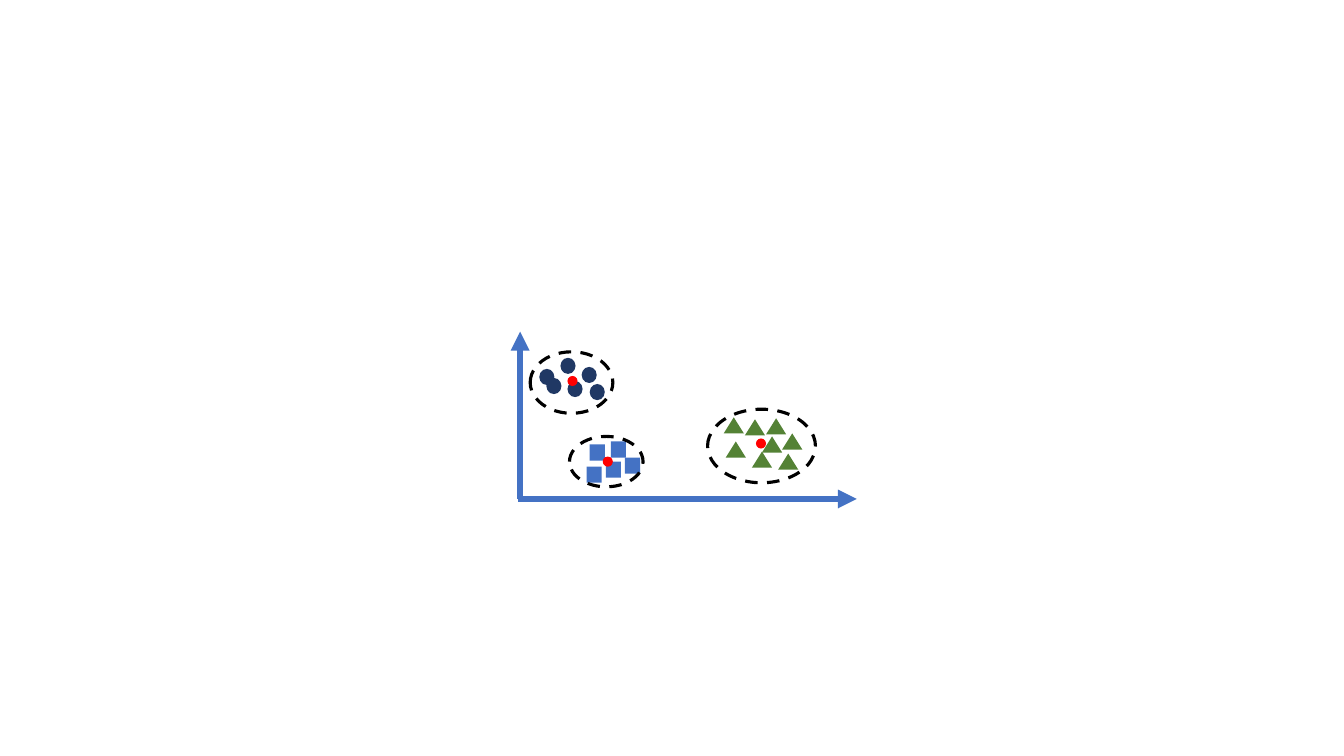
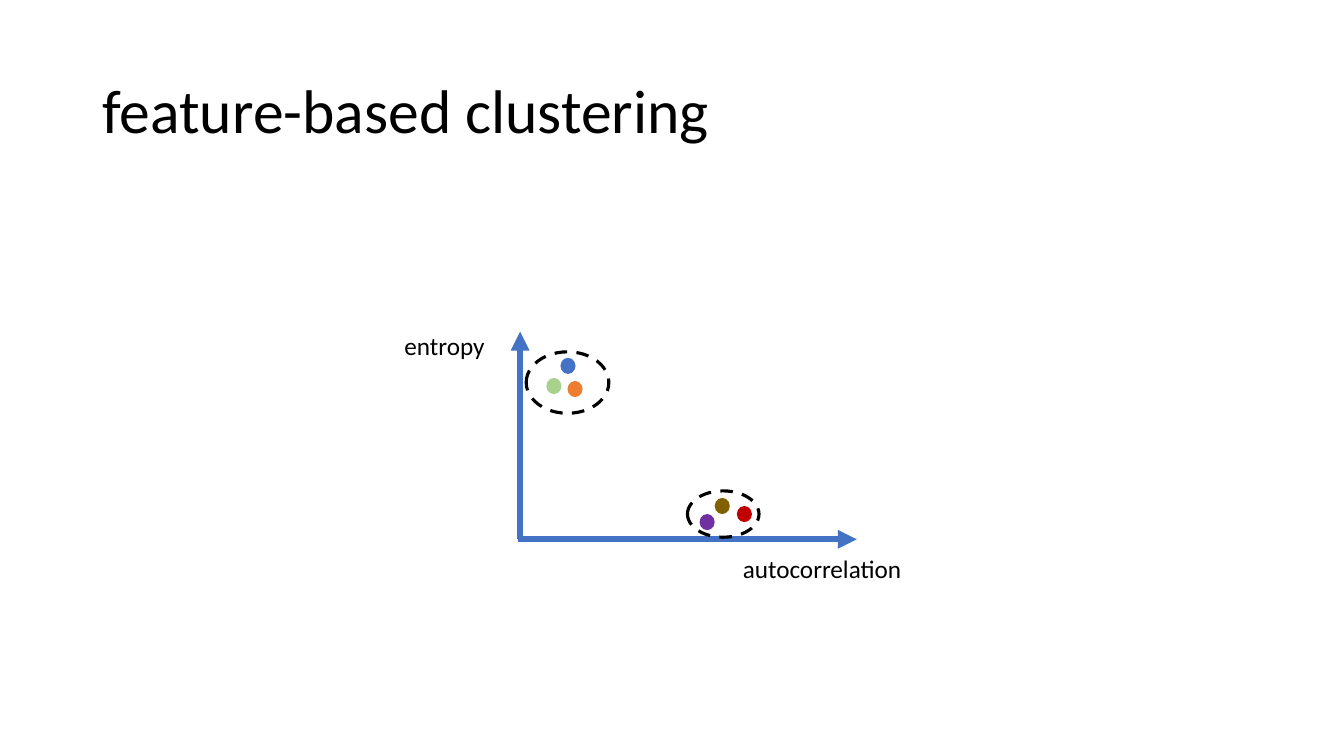
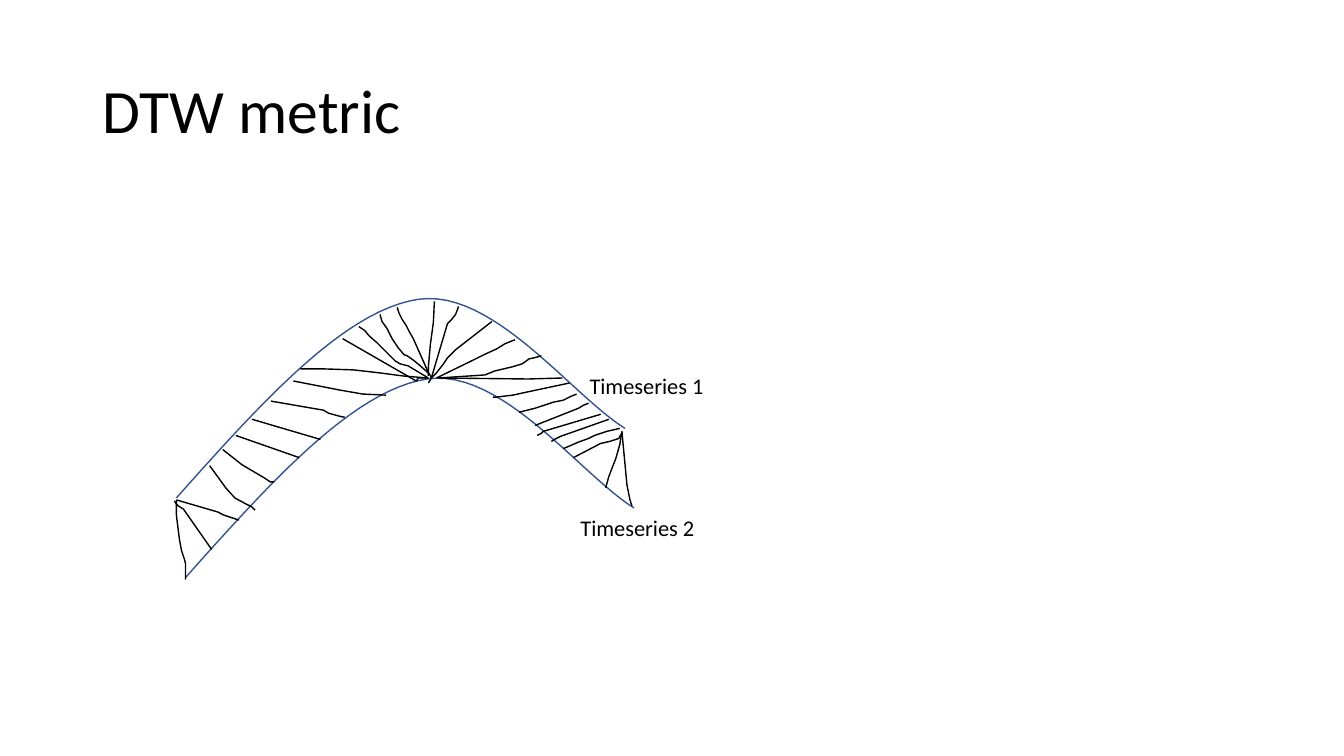
from lxml import etree
from pptx import Presentation
from pptx import util as u
from pptx.dml.color import RGBColor
from pptx.enum import dml, shapes, text
from pptx.oxml.ns import qn

# Grid: the slide is 75 rows high, and columns are as wide as rows
WIDTH, HEIGHT = u.Emu(12192000), u.Emu(6858000)
UNIT = HEIGHT / 75

# Shared style
FONT = "Calibri"
BLACK, BLUE, NAVY, GREEN, RED = "000000", "4472C4", "203864", "548235", "FF0000"
SERIES_BLUE = "325491"
OVAL = shapes.MSO_SHAPE.OVAL
SQUARE = shapes.MSO_SHAPE.RECTANGLE
TRIANGLE = shapes.MSO_SHAPE.ISOSCELES_TRIANGLE
MARKER, WIDE_MARKER, CENTROID = (1.5, 1.6), (2, 1.6), (1, 1)

# Clusters: marker shape, size, colour, marker corners, outline box, centroid
CLUSTERS = [
    (OVAL, MARKER, NAVY,
     [(54.2, 37.5), (55.6, 35.5), (56.3, 37.8), (58.5, 38.1), (57.7, 36.4),
      (53.5, 36.6)],
     (52.6, 34.9, 8.2, 6.1), (56.3, 37.3)),
    (SQUARE, MARKER, BLUE,
     [(58.5, 44.1), (60.1, 45.8), (60.6, 43.8), (58.2, 46.3), (62, 45.4)],
     (56.5, 43.3, 7.3, 5), (59.8, 45.3)),
    (TRIANGLE, WIDE_MARKER, GREEN,
     [(73.9, 41.6), (75.6, 43.3), (76, 41.5), (72, 43.8), (77.6, 43),
      (74.6, 44.8), (77.2, 45), (71.8, 41.4)],
     (70.2, 40.6, 10.7, 7.3), (75, 43.5)),
]

# Feature points: left, top, colour
FEATURES = [
    (54.2, 37.5, "A9D18E"), (55.6, 35.5, BLUE), (56.3, 37.8, "ED7D31"),
    (70.9, 49.4, "806000"), (69.4, 51, "7030A0"), (73.1, 50.2, "C00000"),
]
FEATURE_OUTLINES = [(52.2, 34.9, 8.2, 6.1), (68.2, 48.7, 7.1, 4.6)]

# Time series: two cubic arcs; the second is the first one shifted
SERIES = [
    [(17.5, 49.4), (25.8, 40.1), (34.1, 30.8), (41.5, 29.7)],
    [(41.5, 29.7), (48.9, 28.6), (56.7, 39.2), (62, 42.5)],
]
SERIES_SHIFTS = [(0, 0), (0.9, 7.9)]

# Hand-drawn matches between the series
START_MATCHES = [
    [(17.5, 49.6), (17.5, 51.1), (17.6, 51.9), (17.8, 53.5), (18, 54.6),
     (18.3, 55.5), (18.4, 55.9), (18.4, 57.5)],
    [(21, 54.5), (18.2, 50.5), (17.7, 50.2), (17.5, 50), (17.3, 49.7)],
    [(17.5, 49.6), (21.6, 50.8), (22.2, 51.1), (23.7, 51.6)],
    [(20.8, 46.2), (22.4, 48.4), (23.3, 49.4), (24.4, 50), (25, 50.3),
     (25.3, 50.6)],
    [(22.1, 44.6), (24, 46.1), (26.2, 47.4), (26.8, 47.8), (27.2, 47.8)],
    [(23.4, 43.2), (29.7, 45.4)],
    [(25, 41.6), (31.8, 43.6)],
    [(26.9, 39.8), (32.1, 40.7), (32.6, 41), (33.7, 41.3), (34.2, 41.4)],
    [(29.1, 37.8), (33.7, 38.7), (36, 39.1), (38.3, 39.2)],
]
PEAK_MATCHES = [
    [(42.4, 37.5), (40, 37.3), (37.7, 37), (35.1, 36.7), (32.2, 36.6),
     (29.8, 36.6)],
    [(34, 33.6), (41.3, 37.8), (41.5, 37.5), (42.4, 37.5)],
    [(42.5, 37.5), (40.5, 36.3), (39.7, 36.1), (39.2, 35.8), (38.3, 34.9),
     (37.4, 34), (36.6, 33.3), (36.2, 32.8), (35.6, 32.4)],
    [(37.7, 31.2), (37.9, 31.9), (38.4, 32.6), (38.9, 33.6), (39.5, 34.5),
     (40.1, 35.2), (40.4, 35.3), (41.1, 35.8), (41.7, 36.3), (42.6, 37.1),
     (42.8, 37.5)],
    [(42.6, 37.2), (41, 33.6), (40.6, 32.9), (40.3, 32.3), (39.9, 31.7),
     (39.6, 31.1), (39.4, 30.5)],
    [(43.1, 29.9), (43, 32), (42.7, 34.2), (42.5, 36.4), (42.5, 37.3)],
    [(42.8, 37.5), (44.4, 32.1), (44.8, 31.7), (45.2, 31.2), (45.5, 30.4)],
    [(48.8, 31.9), (45.2, 34.7), (44.4, 35.5), (44, 36.1), (43.3, 37),
     (42.8, 37.5), (42.5, 38)],
    [(43.3, 37.5), (47.2, 35.6), (48, 35.2), (49.3, 34.6), (50.1, 34.1),
     (51.1, 33.7)],
    [(43.5, 37.5), (48.1, 37.2), (49.1, 36.8), (50.8, 36.4), (51.8, 36.1),
     (52.5, 35.6), (53, 35.5), (53.7, 35.3)],
    [(43.6, 37.5), (52.4, 37.6), (55.8, 37.5)],
]
END_MATCHES = [
    [(56.5, 38), (51.8, 39), (50.9, 39.2), (49.2, 39.4), (48.9, 39.4)],
    [(51.5, 40.9), (53.1, 40.5), (54.9, 39.9), (55.9, 39.7), (56.7, 39.3),
     (57.2, 39.1)],
    [(53.1, 42.2), (57.4, 40.5), (57.9, 40.2), (58.4, 40)],
    [(59.6, 41.1), (53.9, 42.8), (53.7, 43), (53.3, 43.2)],
    [(60.4, 41.6), (55.6, 43.3), (55, 43.6), (54.7, 43.8)],
    [(61.5, 42.5), (60.2, 42.8), (59, 43.2), (58.4, 43.5), (57.3, 43.9),
     (56.4, 44.3), (55.9, 44.5)],
    [(56.9, 45.4), (59.6, 44), (60.5, 43.8), (61.4, 43.5), (61.6, 43.1)],
    [(61.7, 42.8), (61.5, 44.1), (61.1, 45.5), (60.4, 47.3), (60.1, 48.4)],
    [(61.7, 42.8), (62.2, 48.1), (62.5, 49.6), (62.7, 50.2)],
]


def grid(n):
    return u.Emu(round(n * UNIT))


def rgb(color):
    return RGBColor.from_string(color)


def style_line(line, color, width):
    line.color.rgb = rgb(color)
    line.width = u.Pt(width)


def add_text(s, box, words, size, align=text.PP_ALIGN.LEFT):
    tf = s.shapes.add_textbox(*map(grid, box)).text_frame
    tf.word_wrap = True
    p = tf.paragraphs[0]
    p.text = words
    p.alignment = align
    p.font.name, p.font.size, p.font.color.rgb = FONT, u.Pt(size), rgb(BLACK)
    return tf


def add_title(s, words):
    tf = add_text(s, (9.2, 4, 115, 14.5), words, 44)
    tf.vertical_anchor = text.MSO_ANCHOR.MIDDLE
    tf.paragraphs[0].line_spacing = 0.9


def add_label(s, box, words, size, align=text.PP_ALIGN.LEFT):
    tf = add_text(s, box, words, size, align)
    tf.auto_size = text.MSO_AUTO_SIZE.SHAPE_TO_FIT_TEXT


def add_marker(s, kind, corner, size, color):
    sp = s.shapes.add_shape(kind, *map(grid, (*corner, *size)))
    sp.shadow.inherit = False
    sp.fill.solid()
    sp.fill.fore_color.rgb = rgb(color)
    sp.line.fill.background()


def add_outline(s, box):
    sp = s.shapes.add_shape(OVAL, *map(grid, box))
    sp.shadow.inherit = False
    sp.fill.background()
    style_line(sp.line, BLACK, 2.25)
    sp.line.dash_style = dml.MSO_LINE.DASH


def add_arrow(s, start, end):
    c = s.shapes.add_connector(shapes.MSO_CONNECTOR.STRAIGHT,
                               *map(grid, (*start, *end)))
    style_line(c.line, BLUE, 4.5)
    spPr = c._element.spPr
    etree.SubElement(spPr.find(qn("a:ln")), qn("a:tailEnd"), type="triangle")
    etree.SubElement(spPr, qn("a:effectLst"))


def add_axes(s, base):
    add_arrow(s, (51.4, base), (85, base))
    add_arrow(s, (51.6, base), (51.6, 32.9))


def add_stroke(s, points, color=BLACK):
    start, *rest = [(grid(x), grid(y)) for x, y in points]
    pen = s.shapes.build_freeform(*start)
    pen.add_line_segments(rest, close=False)
    sp = pen.convert_to_shape()
    sp.shadow.inherit = False
    sp.fill.background()
    style_line(sp.line, color, 1)


def cubic(controls, steps=24):
    """Points along a cubic Bézier curve."""
    for i in range(steps + 1):
        t = i / steps
        weights = ((1 - t) ** 3, 3 * t * (1 - t) ** 2,
                   3 * t ** 2 * (1 - t), t ** 3)
        yield tuple(sum(w * v for w, v in zip(weights, axis))
                    for axis in zip(*controls))


def clusters_slide(s):
    add_axes(s, 49.5)
    for kind, size, color, corners, outline, _ in CLUSTERS:
        for corner in corners:
            add_marker(s, kind, corner, size, color)
        add_outline(s, outline)
    for *_, centroid in CLUSTERS:
        add_marker(s, OVAL, centroid, CENTROID, RED)


def features_slide(s):
    add_title(s, "feature-based clustering")
    add_axes(s, 53.5)
    add_label(s, (38.5, 32.3, 11.2, 4), "entropy", 18, text.PP_ALIGN.CENTER)
    add_label(s, (72.3, 54.4, 18.5, 4), "autocorrelation", 18,
              text.PP_ALIGN.CENTER)
    for x, y, color in FEATURES:
        add_marker(s, OVAL, (x, y), MARKER, color)
    for box in FEATURE_OUTLINES:
        add_outline(s, box)


def dtw_slide(s):
    add_title(s, "DTW metric")
    curve = [pt for arc in SERIES for pt in cubic(arc)]
    for dx, dy in SERIES_SHIFTS:
        add_stroke(s, [(x + dx, y + dy) for x, y in curve], SERIES_BLUE)
    for match in START_MATCHES + PEAK_MATCHES + END_MATCHES:
        add_stroke(s, match)
    add_label(s, (57.5, 36.4, 14.5, 3.7), "Timeseries 1", 16)
    add_label(s, (56.6, 50.5, 14.5, 3.7), "Timeseries 2", 16)


def main():
    prs = Presentation()
    prs.slide_width, prs.slide_height = WIDTH, HEIGHT
    for build in (clusters_slide, features_slide, dtw_slide):
        build(prs.slides.add_slide(prs.slide_layouts[6]))
    prs.save("out.pptx")


if __name__ == "__main__":
    main()
